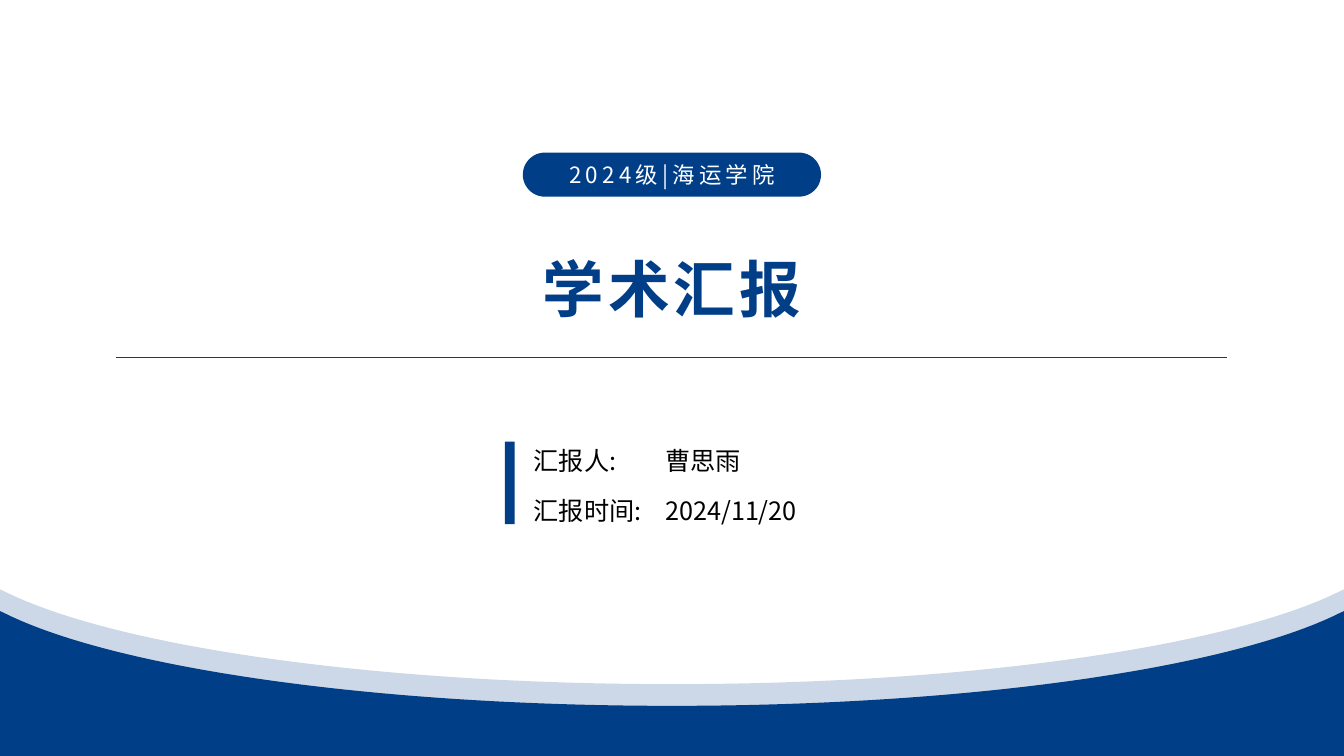
from pptx import Presentation
from pptx.dml.color import RGBColor
from pptx.enum.shapes import MSO_CONNECTOR, MSO_SHAPE
from pptx.enum.text import MSO_ANCHOR, MSO_AUTO_SIZE, PP_ALIGN
from pptx.oxml.ns import qn
from pptx.util import Pt
from lxml.etree import SubElement

NAVY = RGBColor(0x00, 0x3E, 0x87)
WHITE = RGBColor(0xFF, 0xFF, 0xFF)
BLACK = RGBColor(0x00, 0x00, 0x00)
FONT = "Noto Sans CJK SC"
WIDTH, HEIGHT = 960, 540


def box(*lengths):
    return [Pt(length) for length in lengths]


def write(tf, text, align, spacing=0, **font_format):
    p = tf.paragraphs[0]
    p.alignment = align
    r = p.add_run()
    r.text = text
    r.font.name = FONT
    r.font.color.rgb = font_format.pop("color")
    for name, value in font_format.items():
        setattr(r.font, name, value)
    rPr = r._r.get_or_add_rPr()
    SubElement(rPr, qn("a:ea")).set("typeface", FONT)
    if spacing:
        rPr.set("spc", str(spacing * 100))


def paint(sp, color, opacity=100):
    sp.shadow.inherit = False
    sp.fill.solid()
    sp.fill.fore_color.rgb = color
    sp.line.fill.background()
    if opacity < 100:
        clr = sp._element.spPr.find(".//" + qn("a:srgbClr"))
        SubElement(clr, qn("a:alpha")).set("val", str(opacity * 1000))


def add_block(s, kind, *place):
    sp = s.shapes.add_shape(kind, *box(*place))
    paint(sp, NAVY)
    return sp


def curve_segments(sp, first):
    """Turn six line segments, from index first, into two cubic curves."""
    segments = sp._element.findall(".//" + qn("a:lnTo"))
    for i in (first, first + 3):
        curve, *others = segments[i:i + 3]
        curve.tag = qn("a:cubicBezTo")
        for other in others:
            curve.append(other[0])
            other.getparent().remove(other)


def add_wave(s, top, opacity=100, height=106.3):
    """Band whose upper edge sags symmetrically towards the middle."""
    left = [(0, top), (3.6, top + 1.7), (82, top + 40.5), (265.5, top + 67.7)]
    right = [(WIDTH - x, y) for x, y in reversed(left)]
    corners = [(WIDTH, top + height), (0, top + height)]
    outline = [box(*pt) for pt in left + [(WIDTH / 2, top + 67.7)] + right + corners]
    builder = s.shapes.build_freeform(*outline[0])
    builder.add_line_segments(outline[1:], close=True)
    sp = builder.convert_to_shape()
    curve_segments(sp, 1)
    paint(sp, NAVY, opacity)


def add_title(s, text, *place):
    sp = s.shapes.title
    sp.left, sp.top, sp.width, sp.height = box(*place)
    tf = sp.text_frame
    options = {"word_wrap": False, "auto_size": MSO_AUTO_SIZE.NONE,
               "vertical_anchor": MSO_ANCHOR.MIDDLE}
    for name, value in options.items():
        setattr(tf, name, value)
    write(tf, text, PP_ALIGN.CENTER, spacing=3, size=Pt(44), bold=True, color=NAVY)


def add_badge(s, text, *place):
    sp = add_block(s, MSO_SHAPE.ROUNDED_RECTANGLE, *place)
    sp.adjustments[0] = 0.5
    sp.text_frame.vertical_anchor = MSO_ANCHOR.MIDDLE
    write(sp.text_frame, text, PP_ALIGN.CENTER, spacing=3, size=Pt(16), color=WHITE)


def add_rule(s, x1, x2, y):
    line = s.shapes.add_connector(MSO_CONNECTOR.STRAIGHT, *box(x1, y, x2, y))
    line.line.color.rgb = NAVY
    line.line.width = Pt(0.5)
    SubElement(line._element.spPr, qn("a:effectLst"))


def add_details(s, rows, widths, *place):
    table = s.shapes.add_table(len(rows), len(widths), *box(*place)).table
    table.first_row = table.horz_banding = False
    for column, width in zip(table.columns, widths):
        column.width = Pt(width)
    for i, row in enumerate(rows):
        for j, text in enumerate(row):
            cell = table.cell(i, j)
            cell.fill.background()
            cell.margin_right = Pt(0)
            align = PP_ALIGN.LEFT if j else PP_ALIGN.JUSTIFY
            write(cell.text_frame, text, align, size=Pt(18), color=BLACK)


def main():
    prs = Presentation()
    prs.slide_width, prs.slide_height = box(WIDTH, HEIGHT)
    s = prs.slides.add_slide(prs.slide_layouts[5])

    # Waves at the foot
    add_wave(s, 421, opacity=20)
    add_wave(s, 436.5)

    # Heading
    add_badge(s, "2024级|海运学院", 373.5, 109, 213, 31.5)
    add_title(s, "学术汇报", 379, 175, 202, 60.5)
    add_rule(s, 83, 876.7, 255)

    # Speaker and date
    add_block(s, MSO_SHAPE.RECTANGLE, 360.6, 315.5, 7, 59)
    rows = [("汇报人:", "曹思雨"), ("汇报时间:", "2024/11/20")]
    add_details(s, rows, (94, 292.5), 374, 311.5, 386.5, 71.5)

    prs.save("out.pptx")


if __name__ == "__main__":
    main()
